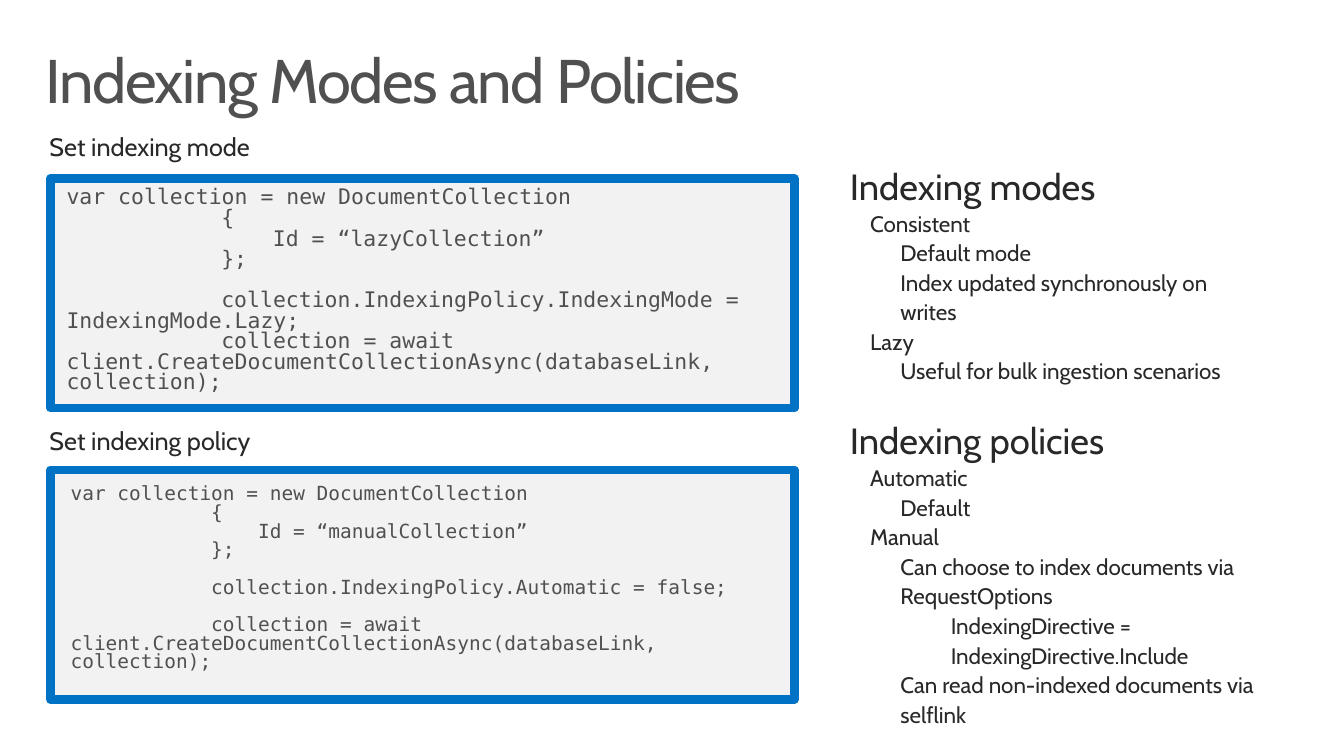
from pptx import Presentation
from pptx import util as u
from pptx.dml.color import RGBColor
from pptx.enum import shapes, text

GREY = RGBColor(0x50, 0x50, 0x50)
DARK = RGBColor(0x28, 0x28, 0x28)
BLUE = RGBColor(0x00, 0x72, 0xC6)
PALE = RGBColor(0xF2, 0xF2, 0xF2)
SANS, MONO = "Cabin", "DejaVu Sans Mono"
CHAR_WIDTH = 0.602  # monospaced advance, as a share of the font size
CODE_LINE = 0.96    # height of a code line, as a share of the font size

prs = Presentation()
prs.slide_width, prs.slide_height = u.Inches(13.33), u.Inches(7.5)
s = prs.slides.add_slide(prs.slide_layouts[6])


def set_frame(sp, inset_x, inset_y):
    tf = sp.text_frame
    tf.word_wrap = True
    tf.vertical_anchor = text.MSO_ANCHOR.TOP
    tf.margin_left = tf.margin_right = u.Inches(inset_x)
    tf.margin_top = tf.margin_bottom = u.Inches(inset_y)
    return tf


def write_line(tf, words, font, size, color, spacing):
    """Fill the empty first paragraph, or append a new one."""
    p = tf.paragraphs[0] if not tf.text else tf.add_paragraph()
    p.text = words
    p.alignment = text.PP_ALIGN.LEFT
    p.line_spacing = spacing
    p.font.name, p.font.size, p.font.color.rgb = font, u.Pt(size), color
    return p


# Title and the captions above the code
LEFT = 0.29
headings = [
    ("Indexing Modes and Policies", 0.4, 12.75, 0.98, 0.16, 0.1, 44, GREY, -100),
    ("Set indexing mode", 1.2, 6.72, 0.6, 0.2, 0.16, 18, DARK, 0),
    ("Set indexing policy", 4.12, 6.72, 0.6, 0.2, 0.16, 18, DARK, 0),
]
for words, top, width, height, inset_x, inset_y, size, color, tracking in headings:
    sp = s.shapes.add_textbox(*map(u.Inches, (LEFT, top, width, height)))
    tf = set_frame(sp, inset_x, inset_y)
    p = write_line(tf, words, SANS, size, color, 0.9)
    p.runs[0].font._element.set("spc", str(tracking))

# Code boxes: (columns of indent, blank lines before, code)
code_boxes = [
    (1.77, 0.16, 0.1, 15.3, [
        (0, 0, "var collection = new DocumentCollection"),
        (12, 0, "{"),
        (16, 0, "Id = “lazyCollection”"),
        (12, 0, "};"),
        (12, 1, "collection.IndexingPolicy.IndexingMode = IndexingMode.Lazy;"),
        (12, 0, "collection = await client.CreateDocumentCollectionAsync(databaseLink, collection);"),
    ]),
    (4.66, 0.2, 0.16, 13.9, [
        (0, 0, "var collection = new DocumentCollection"),
        (12, 0, "{"),
        (16, 0, "Id = “manualCollection”"),
        (12, 0, "};"),
        (12, 1, "collection.IndexingPolicy.Automatic = false;"),
        (12, 1, "collection = await client.CreateDocumentCollectionAsync(databaseLink, collection);"),
    ]),
]
for top, inset_x, inset_y, size, lines in code_boxes:
    sp = s.shapes.add_shape(shapes.MSO_SHAPE.RECTANGLE,
                            *map(u.Inches, (0.5, top, 7.38, 2.28)))
    sp.shadow.inherit = False
    sp.fill.solid()
    sp.fill.fore_color.rgb = PALE
    sp.line.color.rgb, sp.line.width = BLUE, u.Pt(6)
    tf = set_frame(sp, inset_x, inset_y)
    for columns, blanks, code in lines:
        p = write_line(tf, code, MONO, size, GREY, 0.8)
        p.space_before = u.Pt(blanks * CODE_LINE * size)
        pPr = p._p.get_or_add_pPr()
        pPr.set("marL", "0")
        pPr.set("indent", str(u.Pt(columns * CHAR_WIDTH * size)))

# Outline on the right: (depth, text)
INDENTS = [0, 0.2, 0.5, 1]
outline = [
    (0, "Indexing modes"),
    (1, "Consistent"),
    (2, "Default mode"),
    (2, "Index updated synchronously on writes"),
    (1, "Lazy"),
    (2, "Useful for bulk ingestion scenarios"),
    (0, "Indexing policies"),
    (1, "Automatic"),
    (2, "Default"),
    (1, "Manual"),
    (2, "Can choose to index documents via RequestOptions"),
    (3, "IndexingDirective = IndexingDirective.Include"),
    (2, "Can read non-indexed documents via selflink"),
]
sp = s.shapes.add_textbox(*map(u.Inches, (8.27, 1.48, 4.45, 5.68)))
tf = set_frame(sp, 0.16, 0.1)
for i, (depth, words) in enumerate(outline):
    p = write_line(tf, words, SANS, 16 if depth else 26, DARK, 1.1)
    p.level = max(depth - 1, 0)
    p.space_before = u.Pt(21 if i and not depth else 0)
    pPr = p._p.get_or_add_pPr()
    pPr.set("marL", str(u.Inches(INDENTS[depth])))
    pPr.set("indent", "0")

prs.save("out.pptx")
